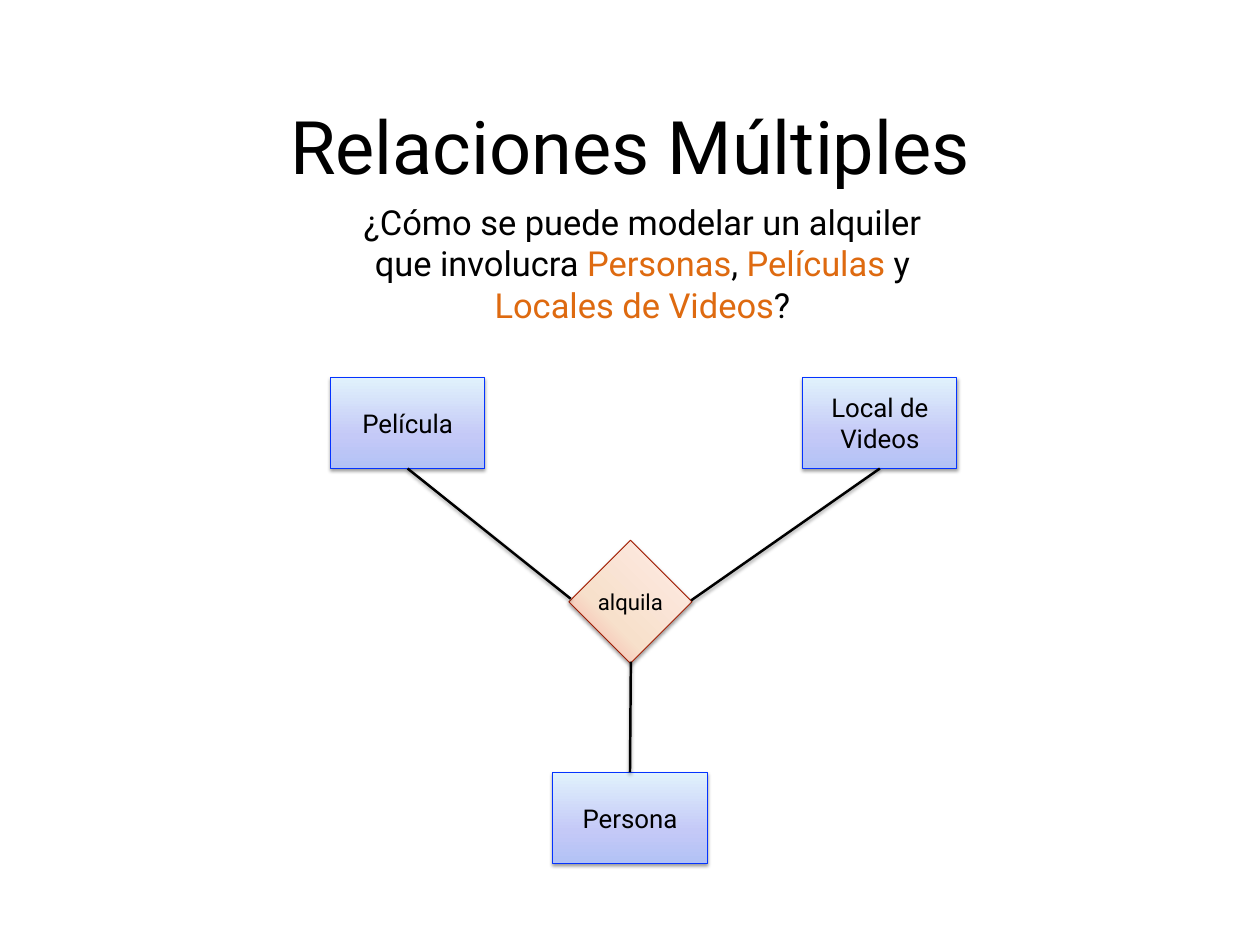
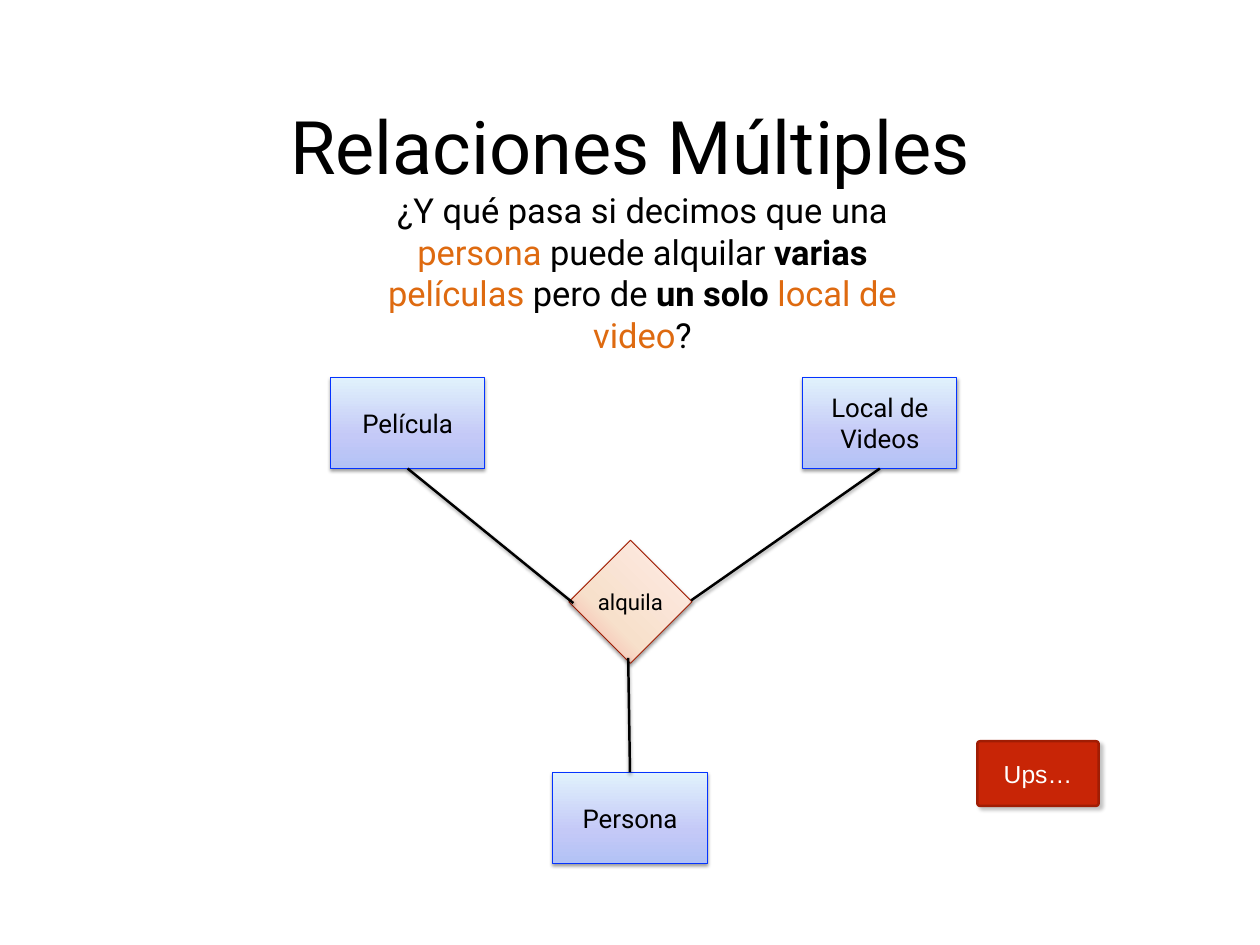
from dataclasses import dataclass

from pptx import Presentation
from pptx.dml.color import RGBColor
from pptx.enum.shapes import MSO_CONNECTOR, MSO_SHAPE
from pptx.enum.text import MSO_ANCHOR, MSO_AUTO_SIZE, PP_ALIGN
from pptx.oxml import parse_xml
from pptx.oxml.ns import nsdecls
from pptx.util import Inches, Pt


@dataclass(frozen=True)
class Theme:
    font: str = "Roboto"
    note_font: str = "Arial"
    ink: str = "000000"
    accent: str = "DE6A10"
    white: str = "FFFFFF"
    entity_line: str = "0433FF"
    relation_line: str = "A01D04"
    note_fill: str = "C82506"
    # Gradients: stops as (percent, colour), then the angle
    entity_fill: tuple = (((0, "B2C2F5"), (36, "C4C9F7"), (100, "E1F2FC")), 270)
    relation_fill: tuple = (((0, "F5A09A"), (35, "F7E0CB"), (100, "FFEBE7")), 315)
    # Shadows: opacity percent, blur, distance, angle
    shadow: tuple = (38, 3, 1.6, 90)
    note_shadow: tuple = (24, 3, 3.3, 44)
    title: int = 60
    question: int = 28
    entity: int = 21
    note: int = 20
    relation: int = 18


T = Theme()
prs = Presentation()
prs.slide_width, prs.slide_height = Inches(14.22), Inches(10.67)

# The grid has 100 columns and 100 rows
COL, ROW = prs.slide_width / 100, prs.slide_height / 100


def write(s, *runs, size, font=T.font, color=T.ink, inset=0, wrap=True):
    """Write centred runs: plain text, or (text, style) with style accent or bold."""
    tf = s.text_frame
    tf.auto_size = MSO_AUTO_SIZE.NONE
    tf.word_wrap = wrap
    tf.vertical_anchor = MSO_ANCHOR.MIDDLE
    tf.margin_left = tf.margin_right = tf.margin_top = tf.margin_bottom = Inches(inset)
    p = tf.paragraphs[0]
    p.alignment = PP_ALIGN.CENTER
    for run in runs:
        text, style = (run, "") if isinstance(run, str) else run
        r = p.add_run()
        r.text = text
        r.font.name, r.font.size = font, Pt(size)
        r.font.bold = style == "bold"
        r.font.color.rgb = RGBColor.from_string(T.accent if style == "accent" else color)


def decorate(s, line, width, fill=None, shadow=T.shadow):
    """Give a shape or connector its fill, line and shadow."""
    props = s._element.spPr
    if isinstance(fill, str):
        s.fill.solid()
        s.fill.fore_color.rgb = RGBColor.from_string(fill)
    elif fill:
        stops, angle = fill
        gs = "".join(f'<a:gs pos="{pos * 1000}"><a:srgbClr val="{c}"/></a:gs>' for pos, c in stops)
        props.insert(2, parse_xml(
            f'<a:gradFill {nsdecls("a")} rotWithShape="1"><a:gsLst>{gs}</a:gsLst>'
            f'<a:lin ang="{angle * 60000}" scaled="0"/></a:gradFill>'))
    s.line.color.rgb = RGBColor.from_string(line)
    s.line.width = Pt(width)
    alpha, blur, dist, angle = shadow
    props.append(parse_xml(
        f'<a:effectLst {nsdecls("a")}><a:outerShdw blurRad="{Pt(blur)}" dist="{Pt(dist)}" '
        f'dir="{angle * 60000}" rotWithShape="0"><a:srgbClr val="{T.ink}">'
        f'<a:alpha val="{alpha * 1000}"/></a:srgbClr></a:outerShdw></a:effectLst>'))


# Diagram: entity corners and size, in columns and rows
ENTITIES = {"Película": (26.23, 39.93), "Local de Videos": (63.71, 39.93), "Persona": (43.88, 81.72)}
ENTITY_W, ENTITY_H = 12.24, 9.65

# Each slide: question top and height, its runs, where lines meet the diamond, note
SLIDES = [
    (20.71, 14.25,
     ["¿Cómo se puede modelar un alquiler que involucra ", ("Personas", "accent"), ", ",
      ("Películas", "accent"), " y ", ("Locales de Videos", "accent"), "?"],
     [(45.29, 63.36), (54.85, 63.54), (50.07, 70.01)], None),
    (19.49, 18.65,
     ["¿Y qué pasa si decimos que una ", ("persona", "accent"), " puede alquilar ",
      ("varias ", "bold"), ("películas", "accent"), " pero de ", ("un solo ", "bold"),
      ("local de video", "accent"), "?"],
     [(45.5, 63.82), (54.85, 63.54), (49.86, 69.63)], "Ups…"),
]

for top, height, question, joints, note in SLIDES:
    slide = prs.slides.add_slide(prs.slide_layouts[5])

    # Title and question
    s = slide.shapes.title
    s.left, s.top = int(15.05 * COL), int(10.22 * ROW)
    s.width, s.height = int(69.9 * COL), int(10.22 * ROW)
    write(s, "Relaciones Múltiples", size=T.title, inset=0.06)
    s = slide.shapes.add_textbox(int(27.92 * COL), int(top * ROW), int(46.13 * COL), int(height * ROW))
    write(s, *question, size=T.question, inset=0.06)

    # Relationship
    s = slide.shapes.add_shape(MSO_SHAPE.DIAMOND, int(45.15 * COL), int(57.17 * ROW),
                               int(9.77 * COL), int(13.03 * ROW))
    decorate(s, T.relation_line, 0.75, T.relation_fill)
    write(s, "alquila", size=T.relation, wrap=False)

    # Entities, each tied to the relationship
    for (name, (x, y)), (jx, jy) in zip(ENTITIES.items(), joints):
        s = slide.shapes.add_shape(MSO_SHAPE.RECTANGLE, int(x * COL), int(y * ROW),
                                   int(ENTITY_W * COL), int(ENTITY_H * ROW))
        decorate(s, T.entity_line, 0.75, T.entity_fill)
        write(s, name, size=T.entity)
        edge = y if y > jy else y + ENTITY_H
        s = slide.shapes.add_connector(MSO_CONNECTOR.STRAIGHT, int((x + ENTITY_W / 2) * COL),
                                       int(edge * ROW), int(jx * COL), int(jy * ROW))
        decorate(s, T.ink, 2)

    # Note
    if note:
        s = slide.shapes.add_shape(MSO_SHAPE.ROUNDED_RECTANGLE, int(77.57 * COL), int(78.44 * ROW),
                                   int(9.63 * COL), int(6.84 * ROW))
        s.adjustments[0] = 0.04
        decorate(s, T.relation_line, 2, T.note_fill, T.note_shadow)
        write(s, note, size=T.note, font=T.note_font, color=T.white)

prs.save("out.pptx")
